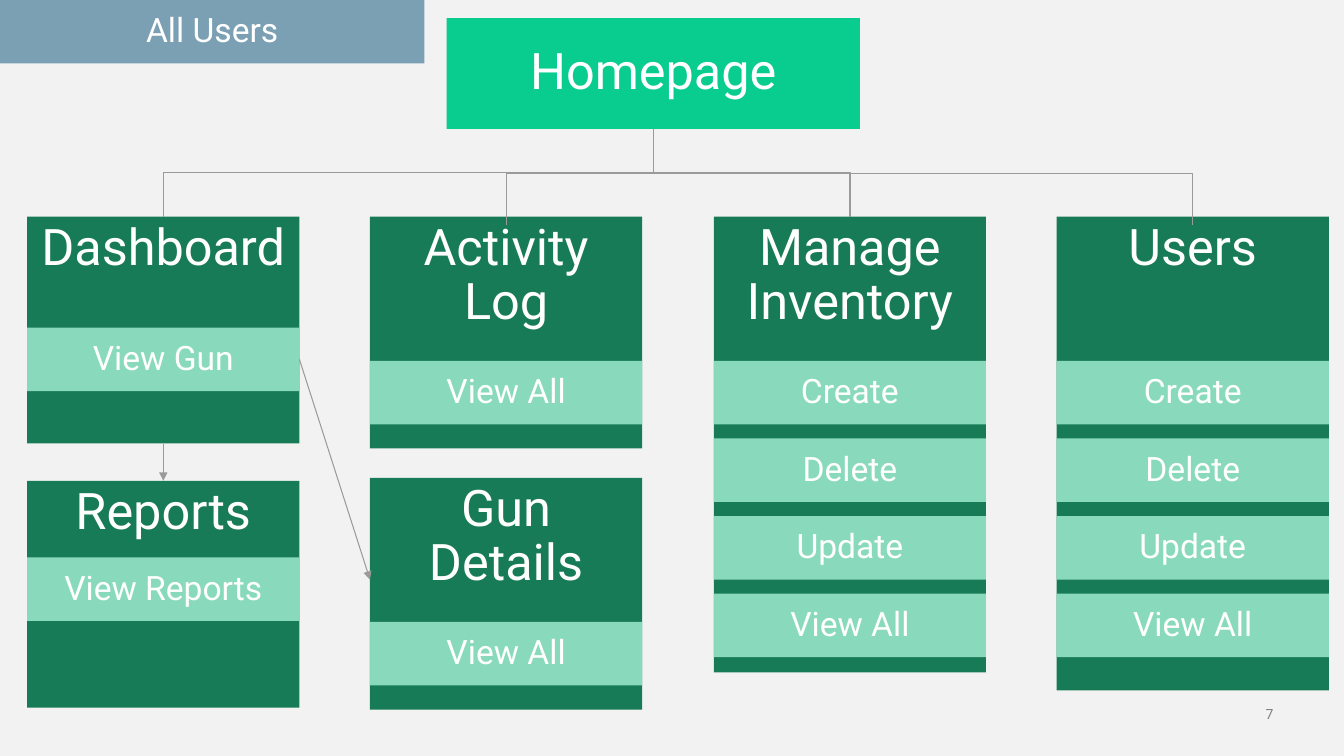
import pptx
import pptx.dml.color
import pptx.enum.shapes
import pptx.enum.text
import pptx.oxml.ns
import pptx.util
from lxml import etree

Inches = pptx.util.Inches
Pt = pptx.util.Pt
RGB = pptx.dml.color.RGBColor.from_string
ANCHOR = pptx.enum.text.MSO_ANCHOR
ALIGN = pptx.enum.text.PP_ALIGN
CONNECTOR = pptx.enum.shapes.MSO_CONNECTOR
qn = pptx.oxml.ns.qn

COLORS = {
    "background": "F2F2F2", "home": "09CC8F", "page": "187B57", "action": "89DABD",
    "audience": "7BA0B4", "line": "9A9A9A", "text": "FFFFFF", "number": "808080",
}
COLUMNS = [0.27, 3.67, 7.08, 10.48]
CARD_WIDTH, ACTION_HEIGHT, ACTION_STEP = 2.7, 0.63, 0.77
ROW_TOP, BUS_Y = 2.15, 1.72

prs = pptx.Presentation()
prs.slide_width, prs.slide_height = Inches(13.33), Inches(7.5)
slide = prs.slides.add_slide(prs.slide_layouts[5])
slide.background.fill.solid()
slide.background.fill.fore_color.rgb = RGB(COLORS["background"])


def fill_box(box, label, color, size, anchor=ANCHOR.MIDDLE):
    box.fill.solid()
    box.fill.fore_color.rgb = RGB(COLORS[color])
    box.line.fill.background()
    box.shadow.inherit = False
    frame = box.text_frame
    frame.word_wrap = True
    frame.auto_size = pptx.enum.text.MSO_AUTO_SIZE.NONE
    frame.vertical_anchor = anchor
    paragraph = frame.paragraphs[0]
    paragraph.alignment = ALIGN.CENTER
    paragraph.line_spacing = 0.9
    paragraph.space_after = Pt(10)
    run = paragraph.add_run()
    run.text = label
    run.font.name, run.font.size = "Roboto", Pt(size)
    run.font.color.rgb = RGB(COLORS["text"])
    return box


def add_line(kind, x1, y1, x2, y2, arrow=False):
    line = slide.shapes.add_connector(kind, Inches(x1), Inches(y1), Inches(x2), Inches(y2))
    line.line.color.rgb = RGB(COLORS["line"])
    line.line.width = Pt(0.75)
    if arrow:
        etree.SubElement(line.line._get_or_add_ln(), qn("a:tailEnd"), type="triangle")
    etree.SubElement(line._element.spPr, qn("a:effectLst"))
    return line


# Homepage
homepage = slide.shapes.title
homepage.left, homepage.top = Inches(4.43), Inches(0.18)
homepage.width, homepage.height = Inches(4.1), Inches(1.1)
fill_box(homepage, "Homepage", "home", 36)

# Pages with their actions: column, top, height, first action offset
crud = ["Create", "Delete", "Update", "View All"]
pages = [
    ("Reports", 0, 4.77, 2.25, 0.76, ["View Reports"]),
    ("Dashboard", 0, ROW_TOP, 2.25, 1.1, ["View Gun"]),
    ("Users", 3, ROW_TOP, 4.7, 1.43, crud),
    ("Manage Inventory", 2, ROW_TOP, 4.52, 1.43, crud),
    ("Activity Log", 1, ROW_TOP, 2.3, 1.43, ["View All"]),
    ("Gun Details", 1, 4.74, 2.3, 1.43, ["View All"]),
]
boxes = {}
for page, column, top, height, offset, actions in pages:
    left = COLUMNS[column]
    card = slide.shapes.add_shape(
        pptx.enum.shapes.MSO_SHAPE.RECTANGLE,
        Inches(left), Inches(top), Inches(CARD_WIDTH), Inches(height))
    boxes[page] = fill_box(card, page, "page", 36, ANCHOR.TOP)
    for i, action in enumerate(actions):
        bar = slide.shapes.add_shape(
            pptx.enum.shapes.MSO_SHAPE.RECTANGLE,
            Inches(left), Inches(top + offset + i * ACTION_STEP),
            Inches(CARD_WIDTH), Inches(ACTION_HEIGHT))
        boxes[page, action] = fill_box(bar, action, "action", 24)

# Arrows between pages
details_arrow = add_line(CONNECTOR.STRAIGHT, 2.97, 3.57, 3.67, 5.75, arrow=True)
details_arrow.begin_connect(boxes["Dashboard", "View Gun"], 3)
reports_arrow = add_line(CONNECTOR.STRAIGHT, 1.62, 4.4, 1.62, 4.77, arrow=True)
reports_arrow.begin_connect(boxes["Dashboard"], 2)
reports_arrow.end_connect(boxes["Reports"], 0)

# Elbows leaving the homepage downwards, turned a quarter to start vertically
home_x, home_bottom = 6.48, 1.28
for column, turn in [(0, 90), (2, 270)]:
    target_x = COLUMNS[column] + CARD_WIDTH / 2
    mid_x, mid_y = (home_x + target_x) / 2, (home_bottom + ROW_TOP) / 2
    half_drop = (ROW_TOP - home_bottom) / 2 * (1 if turn == 90 else -1)
    half_span = abs(target_x - home_x) / 2
    elbow = add_line(CONNECTOR.ELBOW, mid_x - half_drop, mid_y - half_span,
                     mid_x + half_drop, mid_y + half_span)
    elbow._element.spPr.find(qn("a:xfrm")).set("rot", str(turn * 60000))

# Single-bend elbows leaving the horizontal line
for column in (1, 3):
    elbow = add_line(CONNECTOR.ELBOW, home_x, BUS_Y, COLUMNS[column] + CARD_WIDTH / 2, 2.23)
    elbow._element.spPr.find(qn("a:prstGeom")).set("prst", "bentConnector2")

# Audience tag
audience = slide.shapes.add_shape(
    pptx.enum.shapes.MSO_SHAPE.RECTANGLE, 0, 0, Inches(4.21), Inches(0.63))
fill_box(audience, "All Users", "audience", 24)

# Page number
page_number = slide.shapes.add_textbox(Inches(12.21), Inches(7), Inches(0.42), Inches(0.17))
number_frame = page_number.text_frame
number_frame.word_wrap = True
number_frame.vertical_anchor = ANCHOR.BOTTOM
number_frame.margin_left = number_frame.margin_right = 0
number_frame.margin_top = number_frame.margin_bottom = 0
number_frame.paragraphs[0].alignment = ALIGN.RIGHT
number = number_frame.paragraphs[0].add_run()
number.text = "7"
number.font.name, number.font.size = "Roboto", Pt(10)
number.font.color.rgb = RGB(COLORS["number"])

prs.save("out.pptx")
